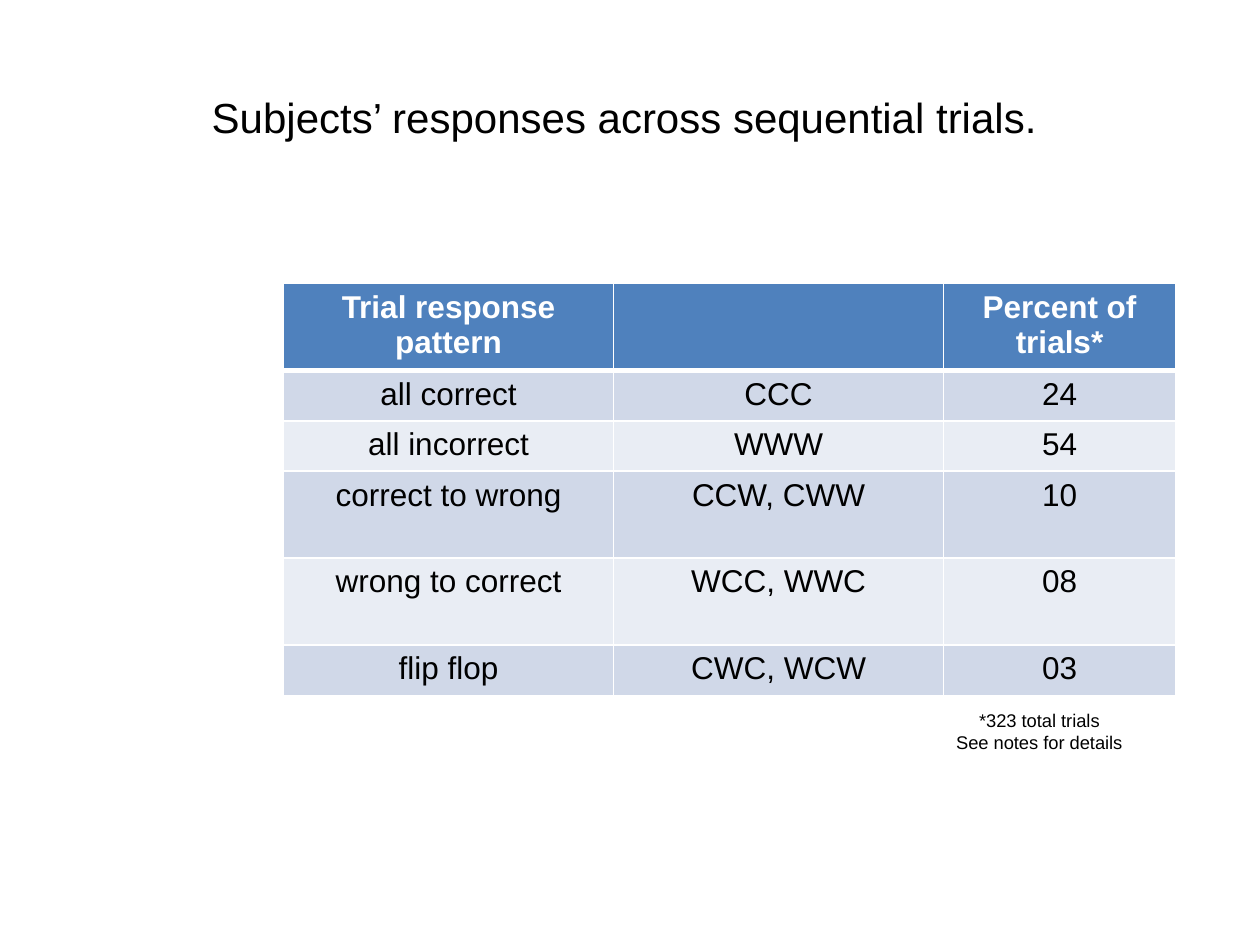
"""Build a slide with a table of subjects' responses across sequential trials."""
from dataclasses import dataclass

from lxml import etree
from pptx import Presentation, util as u
from pptx.dml.color import RGBColor
from pptx.enum import text
from pptx.oxml.ns import qn


@dataclass(frozen=True)
class Theme:
    font: str = "Arial"
    title: float = 24
    body: float = 18
    note: float = 10.5
    ink: str = "000000"
    paper: str = "FFFFFF"
    header: str = "4F81BD"
    bands: tuple[str, str] = ("E9EDF4", "D0D8E8")
    rule: float = 1
    header_rule: float = 3


@dataclass(frozen=True)
class Row:
    pattern: str
    codes: str
    percent: str
    height: float = 0.4


THEME = Theme()
TALL = 0.69
COLUMNS = (2.62, 2.62, 1.84)
ROWS = (
    Row("Trial response pattern", "", "Percent of trials*", TALL),
    Row("all correct", "CCC", "24"),
    Row("all incorrect", "WWW", "54"),
    Row("correct to wrong", "CCW, CWW", "10", TALL),
    Row("wrong to correct", "WCC, WWC", "08", TALL),
    Row("flip flop", "CWC, WCW", "03"),
)


def write(tf, content: str, size: float, color: str, bold: bool = False) -> None:
    tf.text = content
    for p in tf.paragraphs:
        p.alignment = text.PP_ALIGN.CENTER
        p.font.name = THEME.font
        p.font.size = u.Pt(size)
        p.font.bold = bold
        p.font.color.rgb = RGBColor.from_string(color)


def draw_borders(cell, bottom: float, top: float) -> None:
    tc_pr = cell._tc.get_or_add_tcPr()
    widths = {"L": THEME.rule, "R": THEME.rule, "T": top, "B": bottom}
    for side, width in widths.items():
        ln = etree.SubElement(tc_pr, qn(f"a:ln{side}"), w=str(u.Pt(width)))
        fill = etree.SubElement(ln, qn("a:solidFill"))
        etree.SubElement(fill, qn("a:srgbClr"), val=THEME.paper)


def draw_cell(cell, content: str, row: int) -> None:
    is_header = row == 0
    cell.margin_left = cell.margin_right = u.Inches(0.16)
    cell.margin_top = cell.margin_bottom = u.Inches(0.05)
    write(cell.text_frame, content, THEME.body,
          THEME.paper if is_header else THEME.ink, is_header)
    draw_borders(cell,
                 bottom=THEME.header_rule if is_header else THEME.rule,
                 top=THEME.header_rule if row == 1 else THEME.rule)
    cell.fill.solid()
    color = THEME.header if is_header else THEME.bands[row % 2]
    cell.fill.fore_color.rgb = RGBColor.from_string(color)


def draw_table(s, left: int, top: int) -> None:
    width = u.Inches(sum(COLUMNS))
    height = u.Inches(sum(row.height for row in ROWS))
    table = s.shapes.add_table(len(ROWS), len(COLUMNS), left, top, width, height).table
    for column, column_width in zip(table.columns, COLUMNS):
        column.width = u.Inches(column_width)
    for i, row in enumerate(ROWS):
        table.rows[i].height = u.Inches(row.height)
        for j, content in enumerate((row.pattern, row.codes, row.percent)):
            draw_cell(table.cell(i, j), content, i)


def main() -> None:
    prs = Presentation()
    prs.slide_width, prs.slide_height = u.Inches(10), u.Inches(7.5)
    w, h = prs.slide_width, prs.slide_height
    s = prs.slides.add_slide(prs.slide_layouts[5])

    title = s.shapes.title
    title.left, title.top = int(w * 0.05), int(h * 0.04)
    title.width, title.height = int(w * 0.9), u.Inches(1.25)
    title.text_frame.vertical_anchor = text.MSO_ANCHOR.MIDDLE
    write(title.text_frame, "Subjects’ responses across sequential trials. ",
          THEME.title, THEME.ink)

    draw_table(s, int(w * 0.225), int(h * 0.3))

    note = s.shapes.add_textbox(int(w * 0.725), u.Inches(5.58), int(w * 0.2), u.Inches(0.47))
    tf = note.text_frame
    tf.word_wrap = True
    tf.auto_size = text.MSO_AUTO_SIZE.SHAPE_TO_FIT_TEXT
    write(tf, "*323 total trials\nSee notes for details", THEME.note, THEME.ink)

    prs.save("out.pptx")


if __name__ == "__main__":
    main()
